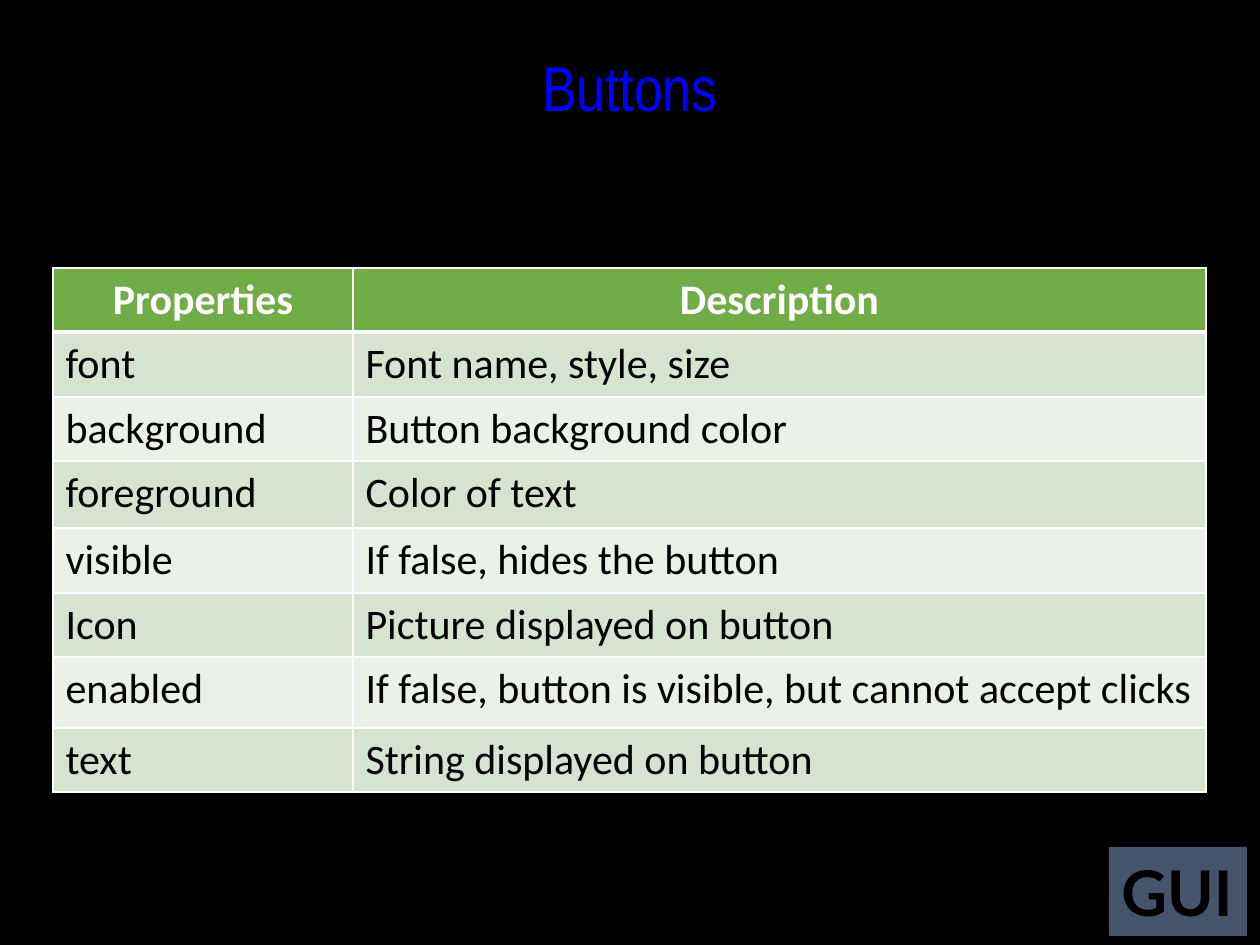
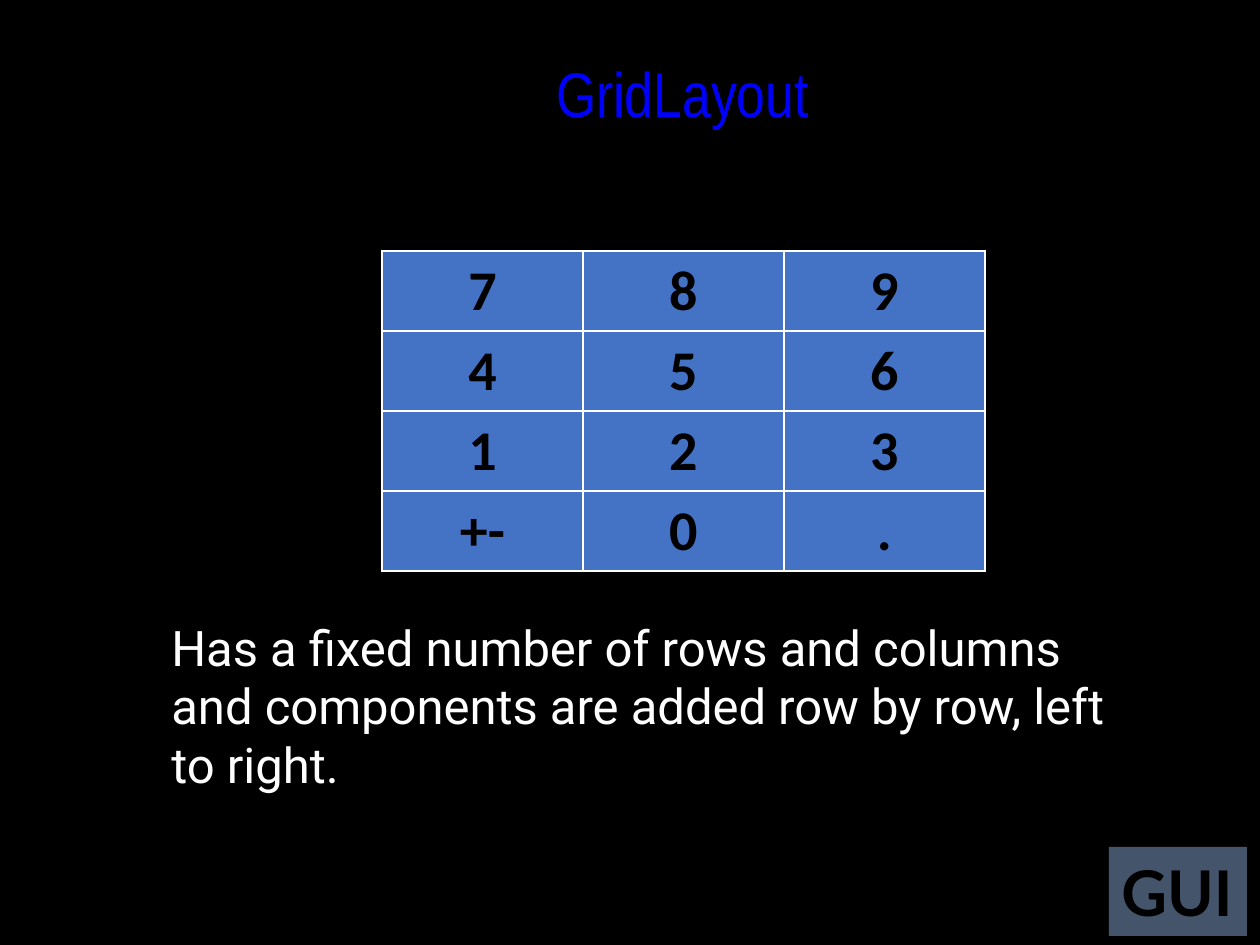
"""Build two slides about GUI components: button properties and the grid layout."""
from dataclasses import dataclass

import pptx
import pptx.dml.color
import pptx.enum.shapes
import pptx.enum.text
import pptx.oxml
import pptx.oxml.ns
import pptx.presentation
import pptx.slide
import pptx.table
import pptx.text.text
import pptx.util

RGBColor = pptx.dml.color.RGBColor
BLACK = RGBColor(0x00, 0x00, 0x00)
WHITE = RGBColor(0xFF, 0xFF, 0xFF)
TITLE_BLUE = RGBColor(0x00, 0x00, 0xFF)
BADGE_SLATE = RGBColor(0x44, 0x54, 0x6A)
HEADER_GREEN = RGBColor(0x70, 0xAD, 0x47)
BAND_DARK = RGBColor(0xD5, 0xE3, 0xCF)
BAND_LIGHT = RGBColor(0xEB, 0xF1, 0xE9)
KEY_BLUE = RGBColor(0x44, 0x72, 0xC4)

LEFT = pptx.enum.text.PP_ALIGN.LEFT
CENTER = pptx.enum.text.PP_ALIGN.CENTER

PX_PER_INCH = 126
THIN_BORDER, THICK_BORDER = 1, 3


@dataclass(frozen=True)
class Box:
    left: int
    top: int
    width: int
    height: int


@dataclass(frozen=True)
class TextStyle:
    font_name: str
    size: int
    color: RGBColor
    bold: bool = False
    alignment: pptx.enum.text.PP_ALIGN = LEFT


@dataclass(frozen=True)
class RowStyle:
    text: TextStyle
    fill: RGBColor
    top_border: int = THIN_BORDER
    bottom_border: int = THIN_BORDER


@dataclass(frozen=True)
class TableRow:
    cells: tuple[str, ...]
    height: int
    style: RowStyle


TITLE_STYLE = TextStyle("Arial Narrow", 36, TITLE_BLUE, alignment=CENTER)
BADGE_STYLE = TextStyle("Lato", 36, BLACK, bold=True)
NOTE_STYLE = TextStyle("Roboto", 28, WHITE)
HEADER_TEXT = TextStyle("Calibri", 24, WHITE, bold=True, alignment=CENTER)
PROPERTY_TEXT = TextStyle("Calibri", 24, BLACK)
KEY_TEXT = TextStyle("Calibri", 32, BLACK, bold=True, alignment=CENTER)

HEADER_ROW = RowStyle(HEADER_TEXT, HEADER_GREEN, bottom_border=THICK_BORDER)
KEY_ROW = RowStyle(KEY_TEXT, KEY_BLUE)

BADGE_BOX = Box(1109, 847, 138, 89)
PROPERTY_ROW_HEIGHT = 64
KEY_WIDTH, KEY_HEIGHT = 201, 80

PROPERTIES = (
    ("font", "Font name, style, size", 65),
    ("background", "Button background color", PROPERTY_ROW_HEIGHT),
    ("foreground", "Color of text", 67),
    ("visible", "If false, hides the button", 65),
    ("Icon", "Picture displayed on button", PROPERTY_ROW_HEIGHT),
    ("enabled", "If false, button is visible, but cannot accept clicks", 71),
    ("text", "String displayed on button", PROPERTY_ROW_HEIGHT),
)
KEYPAD = (("7", "8", "9"), ("4", "5", "6"), ("1", "2", "3"), ("+-", "0", "."))


def px(length: int) -> pptx.util.Emu:
    """Turn pixels into EMU."""
    return pptx.util.Emu(round(length * 914400 / PX_PER_INCH))


def place(box: Box) -> tuple[pptx.util.Emu, ...]:
    """Return the position and size of a box in EMU."""
    return px(box.left), px(box.top), px(box.width), px(box.height)


def write(text_frame: pptx.text.text.TextFrame, text: str, style: TextStyle) -> None:
    """Fill a text frame with one styled paragraph."""
    text_frame.text = text
    paragraph = text_frame.paragraphs[0]
    paragraph.alignment = style.alignment
    paragraph.font.name = style.font_name
    paragraph.font.size = pptx.util.Pt(style.size)
    paragraph.font.bold = style.bold
    paragraph.font.color.rgb = style.color


def add_text(
    slide: pptx.slide.Slide, box: Box, text: str, style: TextStyle, wrap: bool = True
) -> None:
    """Add a text box."""
    text_frame = slide.shapes.add_textbox(*place(box)).text_frame
    text_frame.word_wrap = wrap
    write(text_frame, text, style)


def add_badge(slide: pptx.slide.Slide) -> None:
    """Add the topic badge in the lower right corner."""
    shape = slide.shapes.add_shape(
        pptx.enum.shapes.MSO_SHAPE.RECTANGLE, *place(BADGE_BOX)
    )
    shape.shadow.inherit = False
    shape.fill.solid()
    shape.fill.fore_color.rgb = BADGE_SLATE
    shape.line.fill.background()
    shape.text_frame.vertical_anchor = pptx.enum.text.MSO_ANCHOR.TOP
    write(shape.text_frame, "GUI", BADGE_STYLE)


def add_titled_slide(
    presentation: pptx.presentation.Presentation, title: str, title_box: Box
) -> pptx.slide.Slide:
    """Add a blank slide with its badge and title."""
    slide = presentation.slides.add_slide(presentation.slide_layouts[6])
    add_badge(slide)
    add_text(slide, title_box, title, TITLE_STYLE, wrap=False)
    return slide


def style_cell(cell: pptx.table._Cell, style: RowStyle) -> None:
    """Give a cell its white borders and its fill."""
    properties = cell._tc.get_or_add_tcPr()
    borders = {
        "lnL": THIN_BORDER,
        "lnR": THIN_BORDER,
        "lnT": style.top_border,
        "lnB": style.bottom_border,
    }
    for tag, width in borders.items():
        properties.append(
            pptx.oxml.parse_xml(
                f'<a:{tag} {pptx.oxml.ns.nsdecls("a")} w="{pptx.util.Pt(width)}">'
                f'<a:solidFill><a:srgbClr val="{WHITE}"/></a:solidFill></a:{tag}>'
            )
        )
    cell.fill.solid()
    cell.fill.fore_color.rgb = style.fill


def add_table(
    slide: pptx.slide.Slide,
    left: int,
    top: int,
    column_widths: tuple[int, ...],
    rows: list[TableRow],
) -> None:
    """Add a table whose rows carry their own style."""
    box = Box(left, top, sum(column_widths), sum(row.height for row in rows))
    table = slide.shapes.add_table(len(rows), len(column_widths), *place(box)).table
    table.first_row = False
    table.horz_banding = False
    for column, width in zip(table.columns, column_widths):
        column.width = px(width)
    for table_row, row in zip(table.rows, rows):
        table_row.height = px(row.height)
        for cell, text in zip(table_row.cells, row.cells):
            write(cell.text_frame, text, row.style.text)
            style_cell(cell, row.style)


def add_buttons_slide(presentation: pptx.presentation.Presentation) -> None:
    """Add the slide that lists the properties of buttons."""
    slide = add_titled_slide(presentation, "Buttons", Box(126, 42, 1008, 179))
    rows = [TableRow(("Properties", "Description"), PROPERTY_ROW_HEIGHT, HEADER_ROW)]
    for index, (name, description, height) in enumerate(PROPERTIES):
        style = RowStyle(
            PROPERTY_TEXT,
            BAND_LIGHT if index % 2 else BAND_DARK,
            top_border=THIN_BORDER if index else THICK_BORDER,
        )
        rows.append(TableRow((name, description), height, style))
    add_table(slide, 53, 268, (300, 853), rows)


def add_grid_layout_slide(presentation: pptx.presentation.Presentation) -> None:
    """Add the slide that shows a keypad as a grid layout."""
    slide = add_titled_slide(presentation, "GridLayout", Box(214, 48, 937, 144))
    add_text(
        slide,
        Box(159, 611, 993, 192),
        "Has a fixed number of rows and columns and components are added "
        "row by row, left to right.",
        NOTE_STYLE,
    )
    rows = [TableRow(keys, KEY_HEIGHT, KEY_ROW) for keys in KEYPAD]
    add_table(slide, 382, 251, (KEY_WIDTH,) * 3, rows)


def main() -> None:
    """Build and save the presentation."""
    presentation = pptx.Presentation()
    presentation.slide_width = px(1260)
    presentation.slide_height = px(945)
    background = presentation.slide_master.background.fill
    background.solid()
    background.fore_color.rgb = BLACK
    add_buttons_slide(presentation)
    add_grid_layout_slide(presentation)
    presentation.save("out.pptx")


if __name__ == "__main__":
    main()
